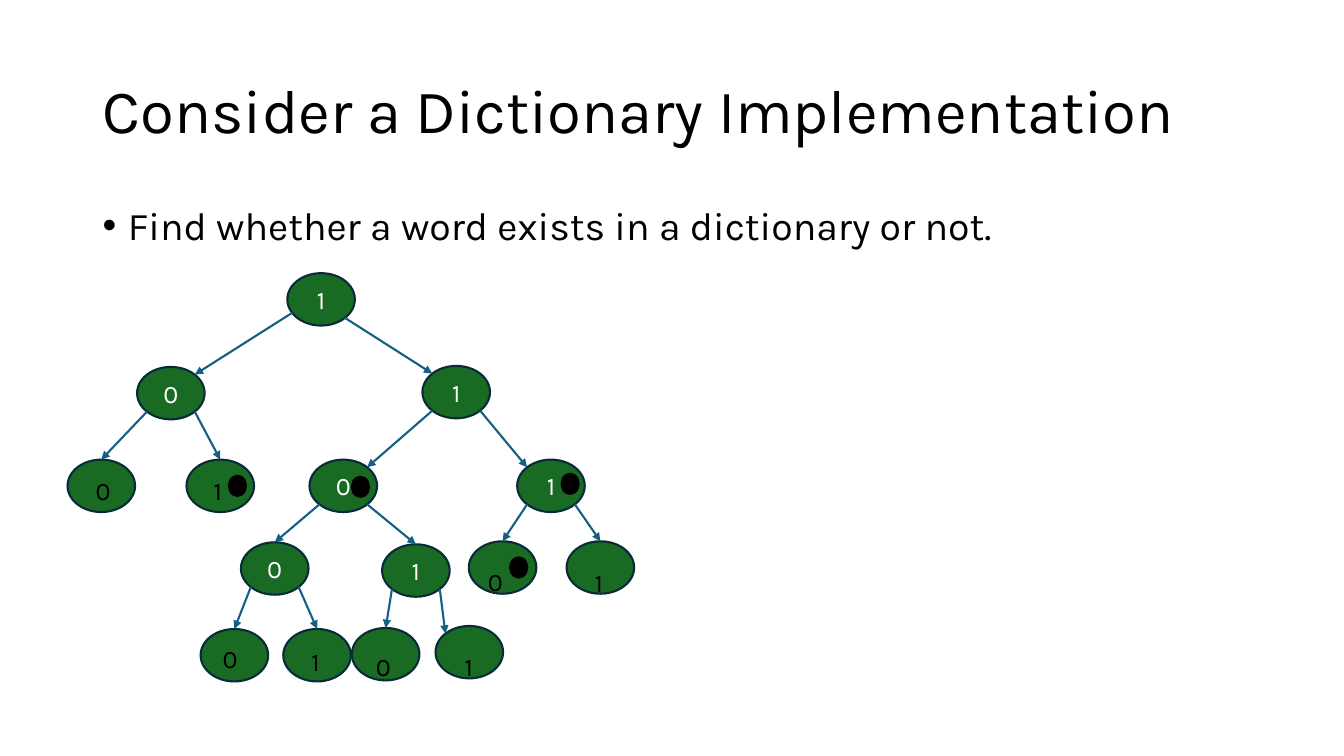
import math

import pptx
import pptx.util
import pptx.dml.color
import pptx.enum.shapes
import pptx.enum.text
import pptx.oxml
import pptx.oxml.ns

Inches = pptx.util.Inches
Pt = pptx.util.Pt
Color = pptx.dml.color.RGBColor
Align = pptx.enum.text.PP_ALIGN
Anchor = pptx.enum.text.MSO_ANCHOR
Oval = pptx.enum.shapes.MSO_SHAPE.OVAL
Straight = pptx.enum.shapes.MSO_CONNECTOR.STRAIGHT

BLACK = Color(0x00, 0x00, 0x00)
WHITE = Color(0xFF, 0xFF, 0xFF)
GREEN = Color(0x19, 0x6B, 0x24)
NAVY = Color(0x09, 0x2A, 0x39)
TEAL = Color(0x15, 0x60, 0x82)
FONT = "Karla"
NODE = (0.67, 0.52)
DOT = (0.17, 0.2)

# Each key spells the digits from the root; its last digit is the node's own
TREE = {
    "1": (2.85, 2.71),
    "10": (1.36, 3.64), "11": (4.19, 3.63),
    "100": (0.67, 4.56), "101": (1.85, 4.56),
    "110": (3.07, 4.56), "111": (5.13, 4.56),
    "1100": (2.39, 5.38), "1101": (3.79, 5.4),
    "1110": (4.65, 5.37), "1111": (5.62, 5.37),
    "11000": (1.99, 6.24), "11001": (2.81, 6.24),
    "11010": (3.49, 6.23), "11011": (4.32, 6.21),
}
# Leaf digits stand in their own text boxes
LABELS = {
    "100": (0.85, 4.67), "101": (2.02, 4.67),
    "11000": (2.11, 6.33), "11001": (2.99, 6.36),
    "11010": (3.63, 6.41), "11011": (4.51, 6.41),
    "1110": (4.74, 5.57), "1111": (5.8, 5.58),
}
# Dots mark the nodes where a word ends
DOTS = [(5.57, 4.7), (3.49, 4.73), (2.27, 4.72), (5.06, 5.53)]
# Rim angles, clockwise from the right, where arrows leave and arrive
LEAVE = {"0": 135, "1": 45}
START = {"10": 149}
END = {"10": 315, "11": 225, "110": 315, "111": 225, "11011": 225}
TOP = 270


def write(frame, text, size=18, color=BLACK, align=Align.LEFT,
          anchor=Anchor.TOP, wrap=True, space=None, bullet=None):
    frame.word_wrap = wrap
    frame.vertical_anchor = anchor
    para = frame.paragraphs[0]
    para.alignment = align
    if space:
        para.line_spacing = space
    if bullet:
        props = para._p.get_or_add_pPr()
        props.set("marL", str(Inches(0.25)))
        props.set("indent", str(Inches(-0.25)))
        props.append(pptx.oxml.parse_xml(
            f'<a:buFont {pptx.oxml.ns.nsdecls("a")} typeface="Arial"/>'))
        props.append(pptx.oxml.parse_xml(
            f'<a:buChar {pptx.oxml.ns.nsdecls("a")} char="{bullet}"/>'))
    run = para.add_run()
    run.text = text
    run.font.name = FONT
    run.font.size = Pt(size)
    run.font.color.rgb = color


def add_box(slide, spot, size):
    return slide.shapes.add_textbox(*map(Inches, spot + size)).text_frame


def add_oval(slide, spot, size, fill, line):
    oval = slide.shapes.add_shape(Oval, *map(Inches, spot + size))
    oval.shadow.inherit = False
    oval.fill.solid()
    oval.fill.fore_color.rgb = fill
    oval.line.color.rgb = line
    oval.line.width = Pt(1.5)
    return oval


def rim(key, angle):
    turn = math.radians(angle)
    left, top = TREE[key]
    wide, high = NODE
    return (left + wide / 2 * (1 + math.cos(turn)),
            top + high / 2 * (1 + math.sin(turn)))


def add_arrow(slide, start, end):
    arrow = slide.shapes.add_connector(Straight, *map(Inches, start + end))
    arrow.line.color.rgb = TEAL
    arrow.line.width = Pt(1.5)
    names = pptx.oxml.ns.nsdecls("a")
    arrow.line._get_or_add_ln().append(
        pptx.oxml.parse_xml(f'<a:tailEnd {names} type="triangle"/>'))
    arrow._element.spPr.append(
        pptx.oxml.parse_xml(f"<a:effectLst {names}/>"))


def add_tree(slide):
    # Nodes
    for key, spot in TREE.items():
        oval = add_oval(slide, spot, NODE, GREEN, NAVY)
        if key not in LABELS:
            write(oval.text_frame, key[-1], color=WHITE,
                  align=Align.CENTER, anchor=Anchor.MIDDLE)
    # Arrows from each parent
    for key in TREE:
        if len(key) > 1:
            add_arrow(slide, rim(key[:-1], START.get(key, LEAVE[key[-1]])),
                      rim(key, END.get(key, TOP)))
    # Leaf digits
    for key, spot in LABELS.items():
        write(add_box(slide, spot, (0.34, 0.4)), key[-1], wrap=False)
    # Word ends
    for spot in DOTS:
        add_oval(slide, spot, DOT, BLACK, BLACK)


def main():
    deck = pptx.Presentation()
    deck.slide_width = Inches(13.33)
    deck.slide_height = Inches(7.5)
    slide = deck.slides.add_slide(deck.slide_layouts[5])

    # Title
    title = slide.shapes.title
    title.left, title.top = Inches(0.92), Inches(0.4)
    title.width, title.height = Inches(11.5), Inches(1.45)
    write(title.text_frame, "Consider a Dictionary Implementation",
          size=44, anchor=Anchor.MIDDLE, space=0.9)

    # Bullet
    write(add_box(slide, (0.92, 2), (11.5, 4.76)),
          "Find whether a word exists in a dictionary or not.",
          size=28, space=0.9, bullet="•")

    add_tree(slide)
    deck.save("out.pptx")


if __name__ == "__main__":
    main()
